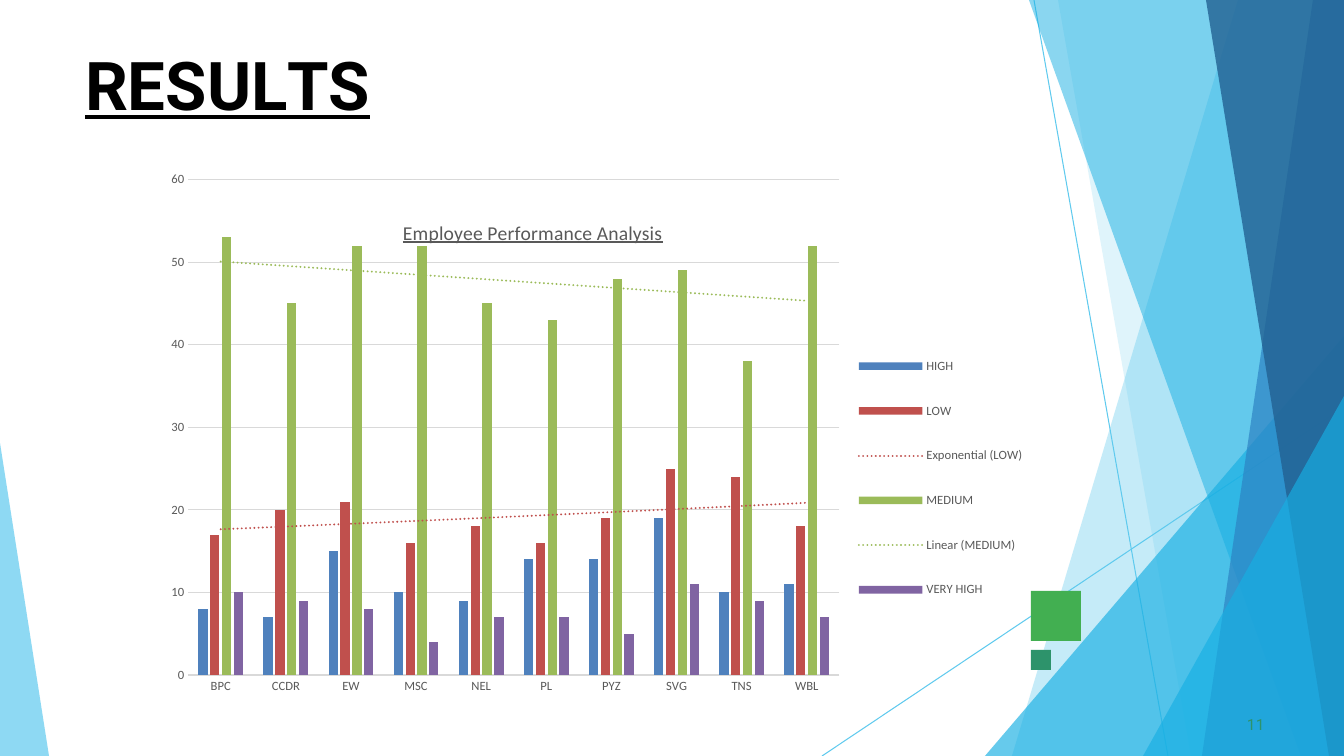
from lxml import etree
from pptx import Presentation, util as u
from pptx.chart.data import CategoryChartData
from pptx.dml.color import RGBColor
from pptx.enum import chart as ec, dml, shapes, text
from pptx.oxml import parse_xml
from pptx.oxml.ns import nsdecls, qn

PX = 914400 / 100.8
WIDE, HIGH = 1344, 756
HUES = {
    "black": "000000", "gray": "595959", "grid": "D9D9D9",
    "sky": "5FCAEE", "cyan": "17AFE3", "blue": "2D83C3", "navy": "226192",
    "green": "42AF51", "teal": "2D936B",
    "HIGH": "4F81BD", "LOW": "C0504D", "MEDIUM": "9BBB59", "VERY HIGH": "8064A2",
}


def emu(n):
    return u.Emu(round(n * PX))


def rgb(name):
    return RGBColor.from_string(HUES[name])


def style(font, size, hue, face="Calibri", bold=False, under=False):
    font.size, font.name = u.Pt(size), face
    font.bold, font.underline = bold, under
    font.color.rgb = rgb(hue)


def write(frame, runs, before=0, left=0, **form):
    """Put (text, letter spacing) runs in the first paragraph."""
    frame.margin_left, frame.margin_top = emu(left), emu(1)
    frame.margin_right = frame.margin_bottom = 0
    frame.word_wrap = False
    frame.auto_size = text.MSO_AUTO_SIZE.NONE
    frame.vertical_anchor = text.MSO_ANCHOR.TOP
    para = frame.paragraphs[0]
    para.alignment = text.PP_ALIGN.LEFT
    para.space_before = u.Pt(before)
    for words, gap in runs:
        run = para.add_run()
        run.text = words
        style(run.font, **form)
        run.font._element.set("spc", str(round(gap * 100)))


def place(node, spot, **parts):
    """Give a chart part a fixed layout, as shares of the chart."""
    old = node.find(qn("c:layout"))
    if old is not None:
        spot = node.index(old)
        node.remove(old)
    layout = etree.Element(qn("c:layout"))
    manual = etree.SubElement(layout, qn("c:manualLayout"))
    if node.tag == qn("c:plotArea"):
        etree.SubElement(manual, qn("c:layoutTarget"), val="inner")
    for key in ("xMode", "yMode"):
        etree.SubElement(manual, qn("c:" + key), val="edge")
    for key, share in parts.items():
        etree.SubElement(manual, qn("c:" + key), val=str(share))
    node.insert(spot, layout)


def trend(series, kind):
    line = parse_xml(
        f'<c:trendline {nsdecls("c", "a")}><c:spPr><a:ln w="19050" cap="rnd"><a:solidFill>'
        f'<a:srgbClr val="{HUES[series.name]}"/></a:solidFill><a:prstDash val="sysDot"/>'
        f'</a:ln></c:spPr><c:trendlineType val="{kind}"/><c:dispRSqr val="0"/>'
        '<c:dispEq val="0"/></c:trendline>')
    series._element.find(qn("c:cat")).addprevious(line)


class Deck:
    def __init__(self):
        self.prs = Presentation()
        self.prs.slide_width, self.prs.slide_height = emu(WIDE), emu(HIGH)
        self.slide = self.prs.slides.add_slide(self.prs.slide_layouts[5])
        self.shapes = self.slide.shapes

    def paint(self, shape, hue, alpha=100):
        shape.shadow.inherit = False
        shape.fill.solid()
        shape.fill.fore_color.rgb = rgb(hue)
        shape.line.fill.background()
        if alpha < 100:
            color = shape._element.spPr.find(".//" + qn("a:srgbClr"))
            etree.SubElement(color, qn("a:alpha"), val=str(alpha * 1000))

    def line(self, x1, y1, x2, y2):
        link = self.shapes.add_connector(
            shapes.MSO_CONNECTOR.STRAIGHT, emu(x1), emu(y1), emu(x2), emu(y2))
        link.line.color.rgb = rgb("sky")
        link.line.width = u.Pt(0.75)
        etree.SubElement(link._element.spPr, qn("a:effectLst"))

    def facet(self, points, hue, alpha):
        pen = self.shapes.build_freeform(*points[0], scale=PX)
        pen.add_line_segments(points[1:], close=True)
        self.paint(pen.convert_to_shape(), hue, alpha)

    def square(self, x, y, side, hue):
        self.paint(self.shapes.add_shape(
            shapes.MSO_SHAPE.RECTANGLE, emu(x), emu(y), emu(side), emu(side)), hue)

    def title(self, x, y, w, h, runs, **form):
        box = self.shapes.title
        box.left, box.top, box.width, box.height = map(emu, (x, y, w, h))
        write(box.text_frame, runs, **form)

    def label(self, x, y, w, h, runs, **form):
        box = self.shapes.add_textbox(*map(emu, (x, y, w, h)))
        write(box.text_frame, runs, **form)

    def columns(self, x, y, w, h, name, cats, rows, trends):
        data = CategoryChartData()
        data.categories = cats
        for key, vals in rows.items():
            data.add_series(key, vals)
        chart = self.shapes.add_chart(
            ec.XL_CHART_TYPE.COLUMN_CLUSTERED, *map(emu, (x, y, w, h)), data).chart
        style(chart.font, 10, "black")

        # Columns and trend lines
        plot = chart.plots[0]
        plot.gap_width, plot.overlap, plot.vary_by_categories = 219, -27, False
        for series in plot.series:
            series.format.fill.solid()
            series.format.fill.fore_color.rgb = rgb(series.name)
            series.invert_if_negative = False
            if series.name in trends:
                trend(series, trends[series.name])

        # Axes
        for axis in (chart.category_axis, chart.value_axis):
            axis.major_tick_mark = axis.minor_tick_mark = ec.XL_TICK_MARK.NONE
            style(axis.tick_labels.font, 9, "gray")
        chart.value_axis.format.line.fill.background()
        chart.value_axis.minimum_scale, chart.value_axis.maximum_scale = 0, 60
        chart.value_axis.major_unit = 10
        grid = chart.value_axis.major_gridlines
        for part in (chart.category_axis, grid):
            part.format.line.color.rgb = rgb("grid")
            part.format.line.width = u.Pt(0.75)

        # Heading and legend
        run = chart.chart_title.text_frame.paragraphs[0].add_run()
        run.text = name
        style(run.font, 14, "gray", under=True)
        head = chart.chart_title._element
        head.find(qn("c:overlay")).set("val", "1")
        chart.has_legend = True
        chart.legend.position = ec.XL_LEGEND_POSITION.RIGHT
        chart.legend.include_in_layout = False
        style(chart.legend.font, 9, "gray")
        place(head, 1, x=0.28, y=0.18)
        place(chart.legend._element, 1, x=0.8, y=0.37, w=0.19, h=0.5)
        place(chart._chartSpace.chart.plotArea, 0, x=0.04, y=0.12, w=0.74, h=0.83)


def main():
    deck = Deck()

    # Backdrop: thin lines, then facets that reach the right edge
    deck.line(1034, 0, 1168, HIGH)
    deck.line(WIDE, 407, 822, HIGH)
    for top, y, foot, hue, alpha in (
            (1238, 0, 1012, "sky", 36), (1058, 0, 1191, "sky", 20),
            (WIDE, 336, 985, "cyan", 66), (1029, 0, 1301, "cyan", 50),
            (1313, 0, 1202, "blue", 70), (1206, 0, 1329, "navy", 80),
            (WIDE, 396, 1143, "cyan", 66)):
        deck.facet([(WIDE, y), (top, y), (foot, HIGH), (WIDE, HIGH)], hue, alpha)
    deck.facet([(0, 443), (0, HIGH), (49, HIGH)], "sky", 70)
    deck.square(1031, 591, 50, "green")
    deck.square(1031, 650, 20, "teal")

    # Title and page number
    deck.title(84, 42, 337, 83,
               [("R", 0), ("E", -0.4), ("S", 0.1), ("U", -0.3), ("L", -4), ("TS", 0)],
               before=1.1, left=1, size=48, hue="black", face="Roboto",
               bold=True, under=True)
    deck.label(1243, 714, 25, 21, [("11", 0.1)], before=0.6, left=4,
               size=11, hue="teal", face="Roboto")

    # Results chart
    deck.columns(
        153, 108, 880, 597, "Employee Performance Analysis",
        ["BPC", "CCDR", "EW", "MSC", "NEL", "PL", "PYZ", "SVG", "TNS", "WBL"],
        {"HIGH": (8, 7, 15, 10, 9, 14, 14, 19, 10, 11),
         "LOW": (17, 20, 21, 16, 18, 16, 19, 25, 24, 18),
         "MEDIUM": (53, 45, 52, 52, 45, 43, 48, 49, 38, 52),
         "VERY HIGH": (10, 9, 8, 4, 7, 7, 5, 11, 9, 7)},
        {"LOW": "exp", "MEDIUM": "linear"})
    deck.prs.save("out.pptx")


if __name__ == "__main__":
    main()
